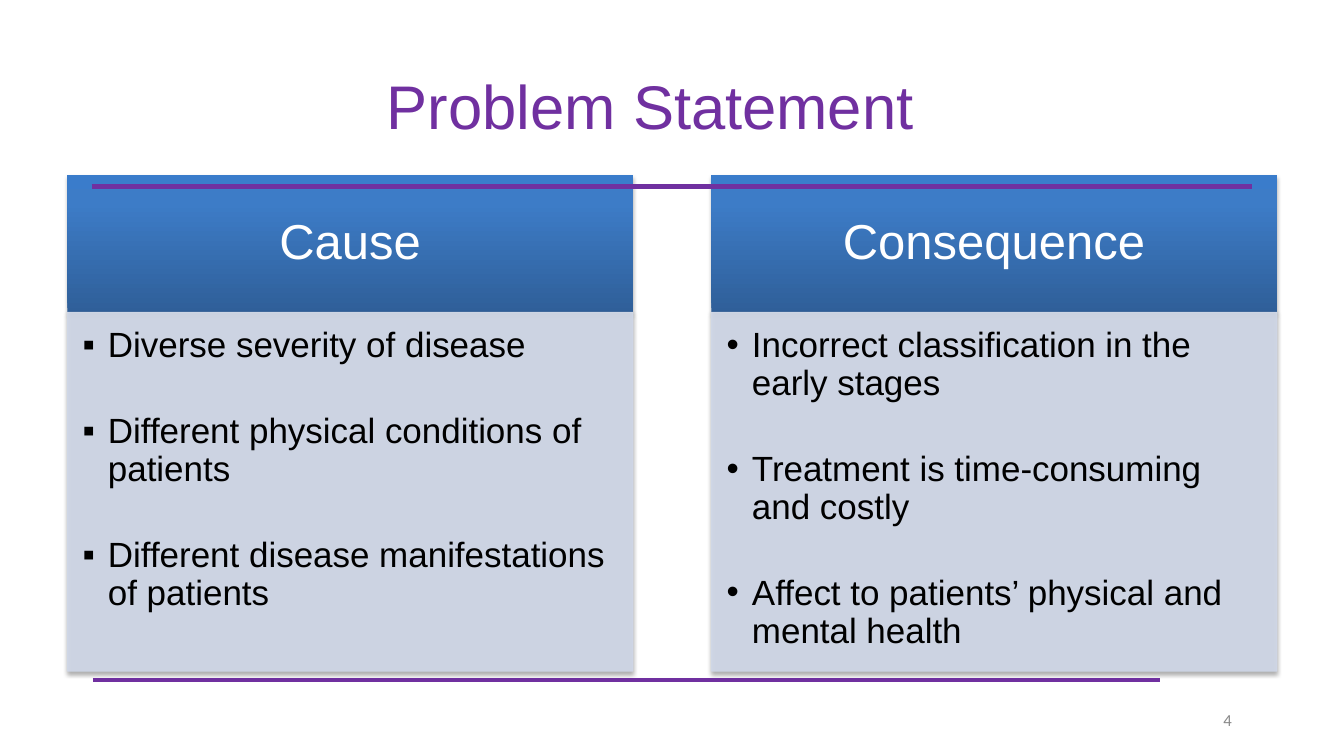
"""Build the Problem Statement slide with its cause and consequence panels."""
from copy import deepcopy
from dataclasses import dataclass

from lxml import etree
from pptx import Presentation
from pptx import util as u
from pptx.dml.color import RGBColor
from pptx.enum import shapes, text
from pptx.oxml import parse_xml
from pptx.oxml.ns import nsdecls, qn

PURPLE = RGBColor(0x70, 0x30, 0xA0)
WHITE = RGBColor(0xFF, 0xFF, 0xFF)
BLACK = RGBColor(0x00, 0x00, 0x00)
GREY = RGBColor(0x89, 0x89, 0x89)
PANEL = RGBColor(0xD0, 0xD8, 0xE8)
HEADER_STOPS = (
    (0.0, RGBColor(0x2F, 0x5F, 0x99)),
    (0.8, RGBColor(0x3D, 0x7C, 0xC7)),
    (1.0, RGBColor(0x3A, 0x7C, 0xCB)),
)

COMPARISON_LAYOUT = 4
PANEL_WIDTH = 14.25
HEADER_TOP, HEADER_HEIGHT = 4.42, 3.45
BODY_TOP, BODY_HEIGHT = HEADER_TOP + HEADER_HEIGHT, 9.04
BULLET_INDENT = u.Cm(0.64)


@dataclass(frozen=True)
class Panel:
    header_index: int
    body_index: int
    left: float
    heading: str
    bullet: str
    points: tuple[str, ...]


@dataclass(frozen=True)
class Rule:
    left: float
    right: float
    top: float


PANELS = (
    Panel(1, 2, 1.7, "Cause", "▪", (
        "Diverse severity of disease",
        "Different physical conditions of patients",
        "Different disease manifestations of patients",
    )),
    Panel(3, 4, 17.93, "Consequence", "•", (
        "Incorrect classification in the early stages",
        "Treatment is time-consuming and costly",
        "Affect to patients’ physical and mental health",
    )),
)
RULES = (Rule(2.34, 29.24, 17.14), Rule(2.31, 31.55, 4.7))


def place(shape, left: float, top: float, width: float, height: float) -> None:
    shape.left, shape.top = u.Cm(left), u.Cm(top)
    shape.width, shape.height = u.Cm(width), u.Cm(height)


def set_frame(shape, anchor, left: float, top: float, right: float, bottom: float):
    frame = shape.text_frame
    frame.word_wrap = True
    frame.auto_size = text.MSO_AUTO_SIZE.NONE
    frame.vertical_anchor = anchor
    frame.margin_left, frame.margin_top = u.Cm(left), u.Cm(top)
    frame.margin_right, frame.margin_bottom = u.Cm(right), u.Cm(bottom)
    return frame


def set_font(paragraph, name: str, size: int, color: RGBColor) -> None:
    font = paragraph.font
    font.name, font.size, font.bold = name, u.Pt(size), False
    font.color.rgb = color


def add_shadow(shape) -> None:
    shape.shadow.inherit = False
    effects = shape.element.spPr.find(qn("a:effectLst"))
    effects.append(parse_xml(
        f'<a:outerShdw {nsdecls("a")} blurRad="40000" dist="23000" dir="5400000" '
        'rotWithShape="0"><a:srgbClr val="000000"><a:alpha val="35000"/>'
        '</a:srgbClr></a:outerShdw>'))


def fill_header(shape) -> None:
    shape.fill.gradient()
    stop_list = shape.element.spPr.find(".//" + qn("a:gsLst"))
    stop_list.append(deepcopy(stop_list[-1]))
    shape.fill.gradient_angle = 90
    for stop, (position, color) in zip(shape.fill.gradient_stops, HEADER_STOPS):
        stop.position, stop.color.rgb = position, color


def fill_body(shape) -> None:
    shape.fill.solid()
    shape.fill.fore_color.rgb = PANEL
    shape.line.color.rgb = PANEL
    shape.line.width = u.Pt(0.75)
    for color in shape.element.spPr.iter(qn("a:srgbClr")):
        etree.SubElement(color, qn("a:alpha"), val="90000")


def draw_panel(slide, panel: Panel) -> None:
    placeholders = {item.placeholder_format.idx: item for item in slide.placeholders}
    header, body = placeholders[panel.header_index], placeholders[panel.body_index]

    place(header, panel.left, HEADER_TOP, PANEL_WIDTH, HEADER_HEIGHT)
    fill_header(header)
    add_shadow(header)
    frame = set_frame(header, text.MSO_ANCHOR.MIDDLE, 0.69, 0.41, 0.69, 0.41)
    frame.text = panel.heading
    paragraph = frame.paragraphs[0]
    paragraph.alignment = text.PP_ALIGN.CENTER
    paragraph.line_spacing, paragraph.space_before = 0.9, u.Pt(0)
    set_font(paragraph, "Arial", 35, WHITE)

    place(body, panel.left, BODY_TOP, PANEL_WIDTH, BODY_HEIGHT)
    fill_body(body)
    add_shadow(body)
    frame = set_frame(body, text.MSO_ANCHOR.TOP, 0.38, 0.38, 0.48, 0.56)
    frame.text = "\n".join(panel.points)
    for paragraph in frame.paragraphs:
        paragraph.line_spacing, paragraph.space_before = 0.9, u.Pt(0)
        paragraph.space_after = u.Pt(34.5)
        properties = paragraph._p.get_or_add_pPr()
        properties.set("marL", str(BULLET_INDENT))
        properties.set("indent", str(-BULLET_INDENT))
        etree.SubElement(properties, qn("a:buFont"), typeface="Arial")
        etree.SubElement(properties, qn("a:buChar"), char=panel.bullet)
        set_font(paragraph, "Arial", 25, BLACK)


def draw_rule(slide, rule: Rule) -> None:
    line = slide.shapes.add_connector(
        shapes.MSO_CONNECTOR.STRAIGHT,
        u.Cm(rule.left), u.Cm(rule.top), u.Cm(rule.right), u.Cm(rule.top))
    line.line.color.rgb = PURPLE
    line.line.width = u.Pt(3)
    etree.SubElement(line.element.spPr, qn("a:effectLst"))


def draw_title(slide) -> None:
    title = slide.shapes.title
    place(title, 2.54, 0.86, 27.71, 3.58)
    frame = set_frame(title, text.MSO_ANCHOR.TOP, 0, 0.86, 0, 0)
    frame.text = "Problem Statement"
    paragraph = frame.paragraphs[0]
    paragraph.alignment = text.PP_ALIGN.CENTER
    paragraph.space_before = u.Pt(1)
    set_font(paragraph, "Arial", 44, PURPLE)


def draw_page_number(slide) -> None:
    box = slide.shapes.add_textbox(u.Cm(30.73), u.Cm(17.86), u.Cm(0.69), u.Cm(0.58))
    frame = set_frame(box, text.MSO_ANCHOR.TOP, 0.1, 0.03, 0, 0)
    frame.text = "4"
    set_font(frame.paragraphs[0], "Calibri", 12, GREY)


def main() -> None:
    presentation = Presentation()
    presentation.slide_width, presentation.slide_height = u.Cm(33.87), u.Cm(19.05)
    slide = presentation.slides.add_slide(presentation.slide_layouts[COMPARISON_LAYOUT])
    draw_title(slide)
    for panel in PANELS:
        draw_panel(slide, panel)
    draw_page_number(slide)
    for rule in RULES:
        draw_rule(slide, rule)
    presentation.save("out.pptx")


if __name__ == "__main__":
    main()
